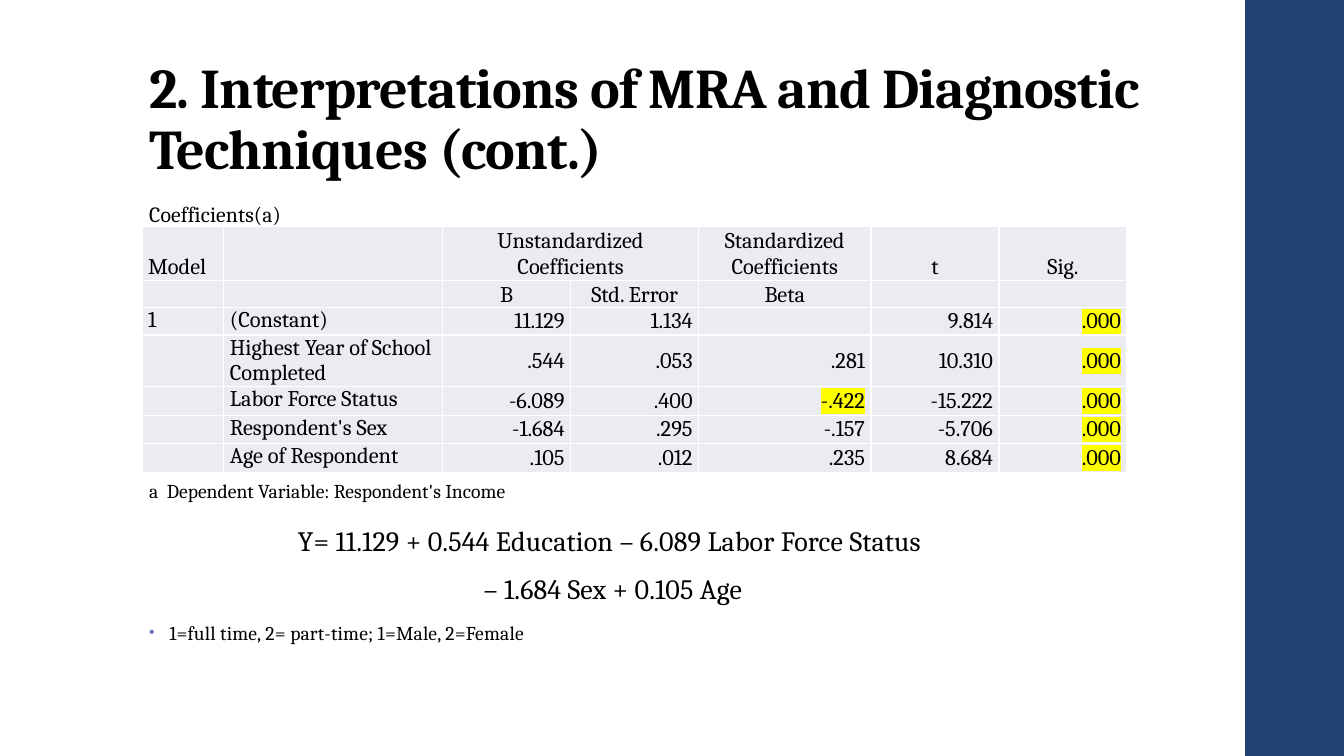
from lxml import etree
from pptx import Presentation
from pptx import util as u
from pptx.dml.color import RGBColor
from pptx.enum import shapes, text
from pptx.oxml import ns

COLUMN_WIDTHS = [0.81, 2.17, 1.27, 1.27, 1.71, 1.27, 1.27]
ROW_HEIGHTS = [0.53, 0.22, 0.22, 0.44, 0.29, 0.22, 0.29]
HEADER_ROWS = 2
COEFFICIENTS = [
    ["Model", "", "Unstandardized Coefficients", "", "Standardized Coefficients", "t", "Sig."],
    ["", "", "B", "Std. Error", "Beta", "", ""],
    ["1", "(Constant)", "11.129", "1.134", "", "9.814", ".000"],
    ["", "Highest Year of School Completed", ".544", ".053", ".281", "10.310", ".000"],
    ["", "Labor Force Status", "-6.089", ".400", "-.422", "-15.222", ".000"],
    ["", "Respondent's Sex", "-1.684", ".295", "-.157", "-5.706", ".000"],
    ["", "Age of Respondent", ".105", ".012", ".235", "8.684", ".000"],
]
HIGHLIGHTED = {".000", "-.422"}
LEFT, CENTER, RIGHT = text.PP_ALIGN.LEFT, text.PP_ALIGN.CENTER, text.PP_ALIGN.RIGHT
# text, size, alignment, space before, bulleted
BODY = [
    ("Coefficients(a)", 15.5, LEFT, 14, False),
    ("Y= 11.129 + 0.544 Education – 6.089 Labor Force Status ", 20, CENTER, 216, False),
    ("– 1.684 Sex + 0.105 Age", 20, CENTER, 14, False),
    ("1=full time, 2= part-time; 1=Male, 2=Female", 14, LEFT, 14, True),
]


def color(value):
    return RGBColor.from_string(value)


def add_xml(parent, tag, **attributes):
    return etree.SubElement(parent, ns.qn(tag), attributes)


class RegressionSlide:
    font = "Cambria"
    ink, navy, pale, white = "000000", "234271", "EAECF2", "FFFFFF"
    marker, bullet = "FFFF00", "6076B4"

    def __init__(self, deck):
        self.page = deck.slides.add_slide(deck.slide_layouts[1])

    def place(self, box, left, top, width, height):
        box.left, box.top = u.Inches(left), u.Inches(top)
        box.width, box.height = u.Inches(width), u.Inches(height)

    def style(self, para, size, bold=False, spacing=0):
        """Format the runs; spacing is in hundredths of a point."""
        for span in para.runs:
            span.font.name, span.font.size, span.font.bold = self.font, u.Pt(size), bold
            span.font.color.rgb = color(self.ink)
            if spacing:
                span.font._element.set("spc", str(spacing))

    def bar(self, left, top, width, height):
        box = self.page.shapes.add_shape(
            shapes.MSO_SHAPE.RECTANGLE, *map(u.Inches, (left, top, width, height)))
        box.shadow.inherit = False
        box.fill.solid()
        box.fill.fore_color.rgb = color(self.navy)
        box.line.fill.background()

    def title(self, words):
        box = self.page.shapes.title
        self.place(box, 1.38, 0.4, 10.6, 1.45)
        frame = box.text_frame
        frame.text = words
        frame.auto_size = text.MSO_AUTO_SIZE.NONE
        frame.vertical_anchor = text.MSO_ANCHOR.BOTTOM
        para = frame.paragraphs[0]
        para.alignment, para.line_spacing = LEFT, 0.9
        self.style(para, 40, bold=True, spacing=-50)

    def body(self, lines):
        box = self.page.placeholders[1]
        self.place(box, 1.38, 2, 9.4, 4.76)
        frame = box.text_frame
        frame.text = "\n".join(line[0] for line in lines)
        frame.auto_size = text.MSO_AUTO_SIZE.NONE
        frame.vertical_anchor = text.MSO_ANCHOR.TOP
        for para, (_, size, alignment, before, bulleted) in zip(frame.paragraphs, lines):
            para.alignment, para.line_spacing = alignment, 0.75
            para.space_before, para.space_after = u.Pt(before), u.Pt(2)
            self.style(para, size, spacing=10)
            self.set_bullet(para, bulleted)

    def set_bullet(self, para, bulleted):
        properties = para._p.get_or_add_pPr()
        indent = u.Inches(0.2) if bulleted else 0
        properties.set("marL", str(indent))
        properties.set("indent", str(-indent))
        if bulleted:
            add_xml(add_xml(properties, "a:buClr"), "a:srgbClr", val=self.bullet)
            add_xml(properties, "a:buSzPct", val="80000")
            add_xml(properties, "a:buChar", char="•")
        else:
            add_xml(properties, "a:buNone")

    def table(self, left, top, rows):
        frame = self.page.shapes.add_table(
            len(rows), len(COLUMN_WIDTHS), u.Inches(left), u.Inches(top),
            u.Inches(sum(COLUMN_WIDTHS)), u.Inches(sum(ROW_HEIGHTS)))
        grid = frame.table
        grid.first_row = grid.horz_banding = False
        for column, width in zip(grid.columns, COLUMN_WIDTHS):
            column.width = u.Inches(width)
        for row, height in zip(grid.rows, ROW_HEIGHTS):
            row.height = u.Inches(height)
        for r, values in enumerate(rows):
            for c, value in enumerate(values):
                self.cell(grid.cell(r, c), value, r, c)
        grid.cell(0, 2).merge(grid.cell(0, 3))

    def cell(self, cell, value, r, c):
        cell.text = value
        cell.margin_left = cell.margin_right = u.Inches(0.06)
        cell.margin_top = cell.margin_bottom = 0
        para = cell.text_frame.paragraphs[0]
        if r < HEADER_ROWS:
            cell.vertical_anchor = text.MSO_ANCHOR.BOTTOM
            para.alignment = CENTER if c else LEFT
        elif c < 2:
            cell.vertical_anchor = text.MSO_ANCHOR.TOP
            para.alignment = LEFT
        else:
            cell.vertical_anchor = text.MSO_ANCHOR.MIDDLE
            para.alignment = RIGHT
        self.style(para, 16)
        if not value:
            add_xml(para._p, "a:endParaRPr", sz="1600")
        if value in HIGHLIGHTED:
            self.highlight(para.runs[0])
        self.borders(cell)
        cell.fill.solid()
        cell.fill.fore_color.rgb = color(self.pale)

    def highlight(self, span):
        properties = span.font._element
        mark = add_xml(properties, "a:highlight")
        add_xml(mark, "a:srgbClr", val=self.marker)
        properties.find(ns.qn("a:solidFill")).addnext(mark)

    def borders(self, cell):
        properties = cell._tc.get_or_add_tcPr()
        for side in "LRTB":
            line = add_xml(properties, f"a:ln{side}", w=str(u.Pt(1)))
            add_xml(add_xml(line, "a:solidFill"), "a:srgbClr", val=self.white)

    def note(self, words, left, top, width, height):
        box = self.page.shapes.add_textbox(*map(u.Inches, (left, top, width, height)))
        box.text_frame.text = words
        box.text_frame.word_wrap = False
        self.style(box.text_frame.paragraphs[0], 14)


def main():
    deck = Presentation()
    deck.slide_width, deck.slide_height = u.Inches(13.33), u.Inches(7.5)
    slide = RegressionSlide(deck)
    slide.bar(12.35, 0, 0.98, 7.5)
    slide.title("2. Interpretations of MRA and Diagnostic Techniques (cont.)")
    slide.body(BODY)
    slide.table(1.41, 2.25, COEFFICIENTS)
    slide.note("a  Dependent Variable: Respondent's Income", 1.38, 4.7, 4.26, 0.34)
    deck.save("out.pptx")


if __name__ == "__main__":
    main()
